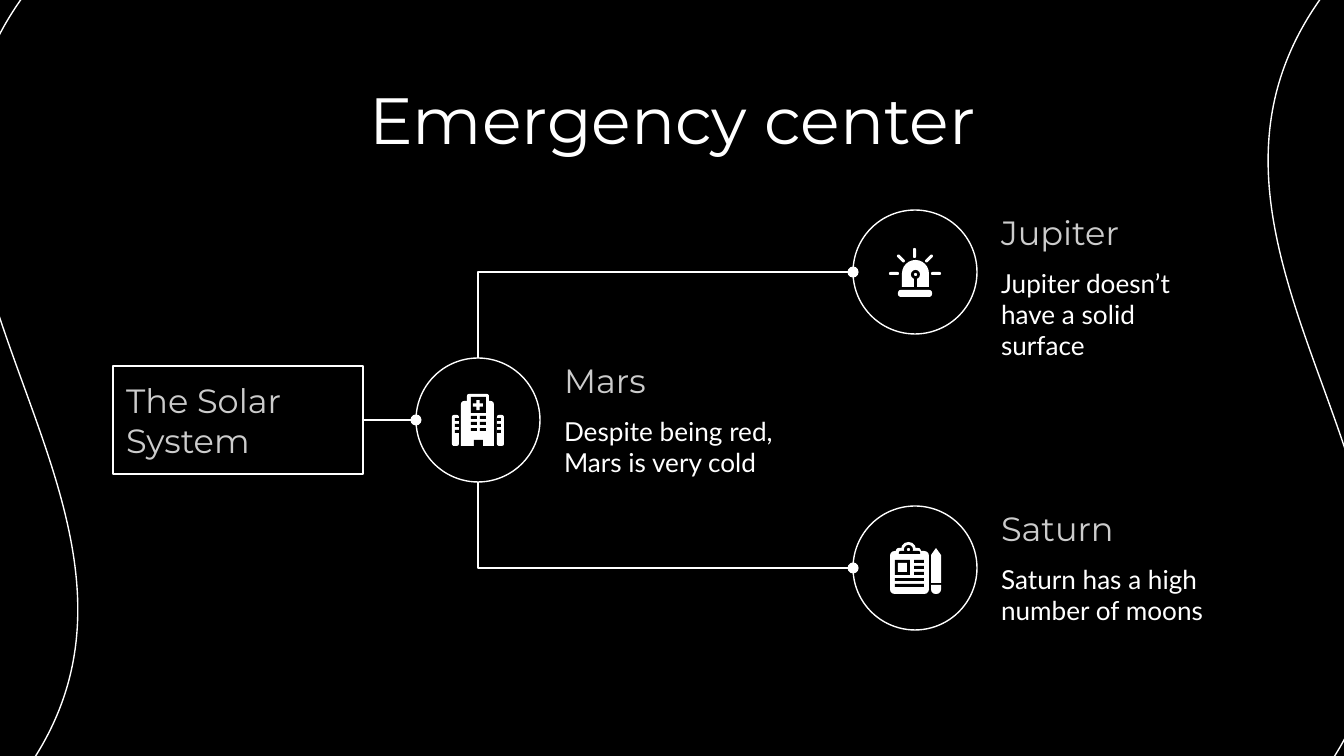
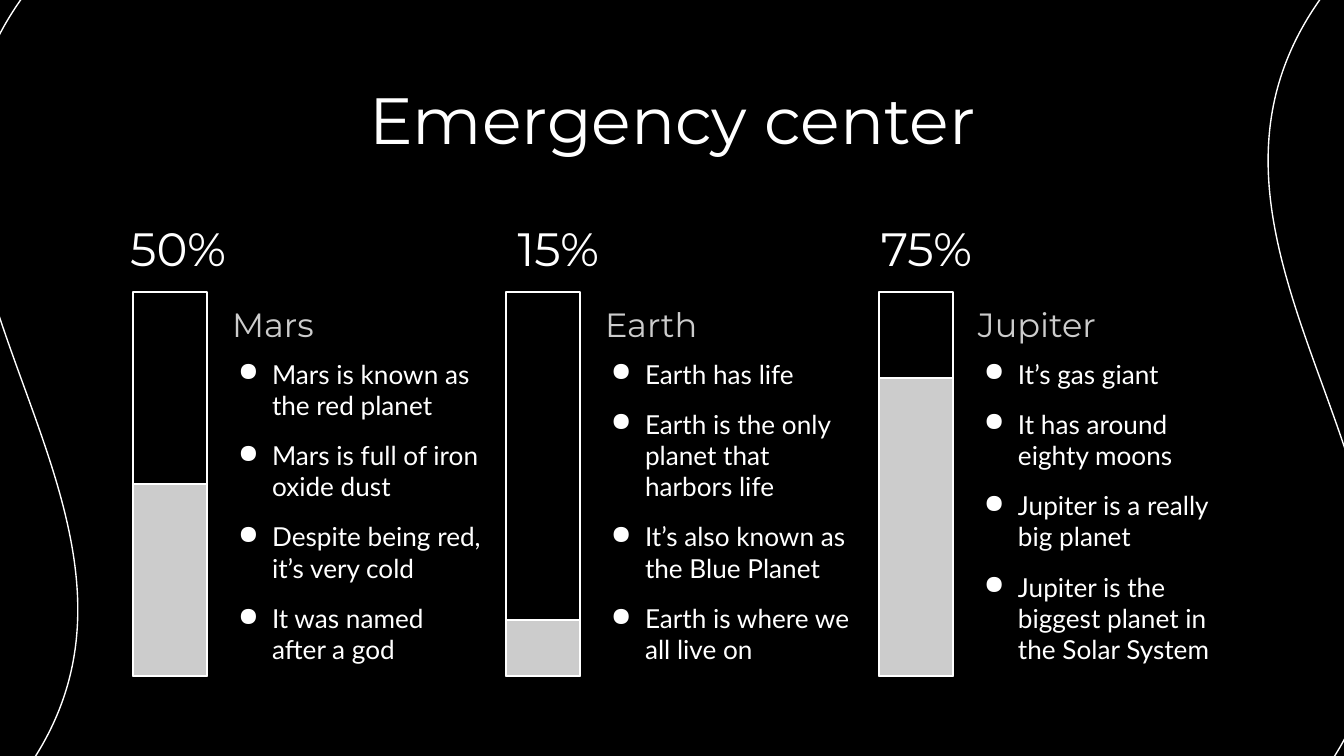
"""Build the two "Emergency center" slides."""
from dataclasses import dataclass
from typing import NamedTuple, Optional

from lxml import etree
from pptx import Presentation
from pptx.dml.color import RGBColor
from pptx.enum.shapes import MSO_CONNECTOR, MSO_SHAPE
from pptx.enum.text import MSO_ANCHOR, PP_ALIGN
from pptx.oxml.ns import qn
from pptx.shapes.autoshape import Shape
from pptx.shapes.connector import Connector
from pptx.slide import Slide
from pptx.text.text import TextFrame
from pptx.util import Emu, Pt

RECT, OVAL, WAVE = MSO_SHAPE.RECTANGLE, MSO_SHAPE.OVAL, MSO_SHAPE.WAVE
ROUND, DOME = MSO_SHAPE.ROUNDED_RECTANGLE, MSO_SHAPE.ROUND_2_SAME_RECTANGLE
CROSS = MSO_SHAPE.CROSS
STRAIGHT, ELBOW = MSO_CONNECTOR.STRAIGHT, MSO_CONNECTOR.ELBOW
TOP, MIDDLE, BOTTOM = MSO_ANCHOR.TOP, MSO_ANCHOR.MIDDLE, MSO_ANCHOR.BOTTOM
LEFT, CENTER, RIGHT = PP_ALIGN.LEFT, PP_ALIGN.CENTER, PP_ALIGN.RIGHT
EMU_PER_PX = 914400 / 134.4


class Style(NamedTuple):
    """Font, size and colour of a run."""
    font: str
    size: int
    color: str


@dataclass(frozen=True)
class Theme:
    """Colours, type sizes and spacings of the deck."""
    black: str = "000000"
    white: str = "FFFFFF"
    gray: str = "CCCCCC"
    line: float = 0.75
    inset: int = 13
    bullet_margin: int = 40
    bullet_hang: int = 34
    bullet_gap: int = 10
    title: Style = Style("Montserrat", 35, "FFFFFF")
    number: Style = Style("Montserrat", 25, "FFFFFF")
    heading: Style = Style("Montserrat", 18, "CCCCCC")
    body: Style = Style("Lato", 14, "FFFFFF")


THEME = Theme()


class Box(NamedTuple):
    """Rectangle in px."""
    x: int
    y: int
    w: int
    h: int

    def shift(self, dx: int, dy: int = 0) -> "Box":
        """Return the box moved by an offset."""
        return Box(self.x + dx, self.y + dy, self.w, self.h)


class Piece(NamedTuple):
    """Filled part of an icon, placed from the icon's centre."""
    kind: MSO_SHAPE
    box: Box
    color: str = THEME.white
    adj: Optional[float] = None
    rot: int = 0


class Icon(NamedTuple):
    """Preset pieces and an optional outline."""
    pieces: list[Piece]
    outline: tuple[tuple[int, int], ...] = ()


class Branch(NamedTuple):
    """Circle with an icon, a heading and a sentence."""
    x: int
    y: int
    heading: str
    body: str
    icon: Icon


class Gauge(NamedTuple):
    """Percentage bar with a heading and bullets."""
    percent: str
    level: int
    heading: str
    bullets: tuple[str, ...]


def cut(x: int, y: int, w: int, h: int) -> Piece:
    """Return a rectangular gap in an icon."""
    return Piece(RECT, Box(x, y, w, h), THEME.black)


SIREN = Icon([
    *(Piece(ROUND, Box(x, 0, 10, 3), adj=0.5) for x in (-26, 16)),
    Piece(ROUND, Box(-2, -24, 3, 10), adj=0.5),
    Piece(ROUND, Box(-19, -15, 10, 3), adj=0.5, rot=45),
    Piece(ROUND, Box(9, -15, 10, 3), adj=0.5, rot=-45),
    Piece(ROUND, Box(-17, 18, 34, 7), adj=0.4),
    Piece(DOME, Box(-13, -12, 27, 27), adj=0.5),
    Piece(OVAL, Box(-4, -2, 9, 9), THEME.black),
    cut(-1, 6, 3, 9),
    Piece(OVAL, Box(-1, 1, 3, 3)),
])
HOSPITAL = Icon([
    *(Piece(ROUND, Box(x, -5, 7, 31), adj=0.3) for x in (-26, 19)),
    *(cut(x, y, 4, 3) for x in (-23, 19) for y in (-2, 4, 10)),
    Piece(DOME, Box(-17, -19, 33, 45), adj=0.1),
    Piece(DOME, Box(-11, -26, 22, 10), adj=0.2),
    cut(-7, -23, 15, 16),
    *(cut(x, y, 6, 3) for x in (-7, 2) for y in (-4, 2, 8)),
    cut(-4, 20, 9, 6),
    Piece(CROSS, Box(-5, -20, 10, 10), adj=0.33),
])
CLIPBOARD = Icon([
    Piece(ROUND, Box(-25, -17, 39, 43), adj=0.12),
    Piece(DOME, Box(-19, -20, 25, 9), adj=0.3),
    Piece(OVAL, Box(-14, -26, 15, 15)),
    Piece(OVAL, Box(-11, -23, 9, 9), THEME.black),
    Piece(DOME, Box(-16, -17, 21, 3), THEME.black, 0.5),
    Piece(OVAL, Box(-8, -20, 3, 3)),
    cut(-20, -8, 15, 15),
    Piece(RECT, Box(-17, -5, 9, 9)),
    *(cut(-1, y, 10, 3) for y in (-8, -2, 4)),
    *(cut(-20, y, 29, 3) for y in (10, 16)),
    Piece(DOME, Box(16, 17, 10, 9), adj=0.5, rot=180),
], ((16, 15), (16, -13), (21, -20), (26, -13), (26, 15)))

DIAMETER = 124
MARS = Branch(416, 358, "Mars", "Despite being red, Mars is very cold", HOSPITAL)
OUTER = (
    Branch(853, 210, "Jupiter", "Jupiter doesn’t have a solid surface", SIREN),
    Branch(853, 506, "Saturn", "Saturn has a high number of moons", CLIPBOARD),
)
GAUGE_STEP = 373
GAUGES = (
    Gauge("50%", 192, "Mars", (
        "Mars is known as the red planet", "Mars is full of iron oxide dust",
        "Despite being red, it’s very cold", "It was named after a god")),
    Gauge("15%", 56, "Earth", (
        "Earth has life", "Earth is the only planet that harbors life",
        "It’s also known as the Blue Planet", "Earth is where we all live on")),
    Gauge("75%", 298, "Jupiter", (
        "It’s gas giant", "It has around eighty moons",
        "Jupiter is a really big planet",
        "Jupiter is the biggest planet in the Solar System")),
)


def px(n: float) -> Emu:
    """Convert px to EMU."""
    return Emu(round(n * EMU_PER_PX))


def rgb(color: str) -> RGBColor:
    """Convert a hex string to a colour."""
    return RGBColor.from_string(color)


def paint(sp: Shape, fill: Optional[str], line: Optional[str]) -> None:
    """Set the fill and line of a shape and drop its shadow."""
    sp.shadow.inherit = False
    for part, color in ((sp.fill, fill), (sp.line.fill, line)):
        if color is None:
            part.background()
        else:
            part.solid()
            part.fore_color.rgb = rgb(color)
    if line is not None:
        sp.line.width = Pt(THEME.line)


def add_shape(shapes, kind: MSO_SHAPE, box: Box, fill: Optional[str] = None,
              line: Optional[str] = THEME.white) -> Shape:
    """Add a painted preset shape."""
    sp = shapes.add_shape(kind, *map(px, box))
    paint(sp, fill, line)
    return sp


def write(tf: TextFrame, texts: tuple[str, ...], style: Style, anchor: MSO_ANCHOR = TOP,
          align: PP_ALIGN = LEFT, bullets: bool = False) -> None:
    """Fill a text frame with one paragraph per text."""
    tf.word_wrap = True
    tf.vertical_anchor = anchor
    tf.margin_left = tf.margin_right = tf.margin_top = tf.margin_bottom = px(THEME.inset)
    for i, text in enumerate(texts):
        p = tf.paragraphs[0] if i == 0 else tf.add_paragraph()
        p.alignment = align
        if bullets:
            add_bullet(p._p.get_or_add_pPr(), style.color)
        if i:
            p.space_before = Pt(THEME.bullet_gap)
        r = p.add_run()
        r.text = text
        r.font.name, r.font.size = style.font, Pt(style.size)
        r.font.color.rgb = rgb(style.color)


def add_bullet(props: etree._Element, color: str) -> None:
    """Give paragraph properties a hanging round bullet."""
    props.set("marL", str(px(THEME.bullet_margin)))
    props.set("indent", str(px(-THEME.bullet_hang)))
    tint = etree.SubElement(props, qn("a:buClr"))
    etree.SubElement(tint, qn("a:srgbClr")).set("val", color)
    etree.SubElement(props, qn("a:buChar")).set("char", "●")


def add_text(s: Slide, box: Box, texts: tuple[str, ...], style: Style,
             anchor: MSO_ANCHOR = TOP, align: PP_ALIGN = LEFT, bullets: bool = False) -> None:
    """Add a text box."""
    write(s.shapes.add_textbox(*map(px, box)).text_frame, texts, style, anchor, align, bullets)


def add_link(s: Slide, kind: MSO_CONNECTOR, x1: float, y1: float,
             x2: float, y2: float) -> Connector:
    """Add a thin connector ending in a dot."""
    c = s.shapes.add_connector(kind, px(x1), px(y1), px(x2), px(y2))
    c.line.color.rgb = rgb(THEME.white)
    c.line.width = Pt(THEME.line)
    props = c._element.spPr
    etree.SubElement(props.find(qn("a:ln")), qn("a:tailEnd")).set("type", "oval")
    etree.SubElement(props, qn("a:effectLst"))
    return c


def add_bend(s: Slide, x1: int, y1: int, x2: int, y2: int) -> None:
    """Add a connector that runs vertically, then horizontally."""
    cx, cy = (x1 + x2) / 2, (y1 + y2) / 2
    half_w, half_h = abs(y2 - y1) / 2, abs(x2 - x1) / 2
    c = add_link(s, ELBOW, cx - half_w, cy - half_h, cx + half_w, cy + half_h)
    props = c._element.spPr
    props.find(qn("a:prstGeom")).set("prst", "bentConnector2")
    props.xfrm.set("rot", str(270 * 60000))
    if y2 > y1:
        props.xfrm.set("flipH", "1")


def add_icon(s: Slide, icon: Icon, cx: int, cy: int) -> None:
    """Draw an icon as a group around a centre."""
    shapes = s.shapes.add_group_shape().shapes
    for piece in icon.pieces:
        sp = add_shape(shapes, piece.kind, piece.box.shift(cx, cy), piece.color, None)
        sp.rotation = piece.rot
        if piece.adj is not None:
            sp.adjustments[0] = piece.adj
    if icon.outline:
        points = [(cx + x, cy + y) for x, y in icon.outline]
        builder = shapes.build_freeform(*points[0], scale=EMU_PER_PX)
        builder.add_line_segments(points[1:], close=True)
        paint(builder.convert_to_shape(), THEME.white, None)


def add_branch(s: Slide, b: Branch) -> None:
    """Draw a circle with its icon and texts."""
    add_shape(s.shapes, OVAL, Box(b.x, b.y, DIAMETER, DIAMETER), THEME.black)
    add_text(s, Box(b.x + 135, b.y + 44, 250, 90), (b.body,), THEME.body)
    add_text(s, Box(b.x + 135, b.y - 10, 250, 65), (b.heading,), THEME.heading, BOTTOM)
    add_icon(s, b.icon, b.x + DIAMETER // 2, b.y + DIAMETER // 2)


def add_gauge(s: Slide, g: Gauge, dx: int) -> None:
    """Draw a percentage bar with its texts."""
    bar = Box(133, 292, 74, 384).shift(dx)
    add_text(s, Box(102, 215, 137, 65).shift(dx), (g.percent,), THEME.number, MIDDLE, RIGHT)
    add_text(s, Box(219, 345, 277, 331).shift(dx), g.bullets, THEME.body, bullets=True)
    add_text(s, Box(219, 292, 277, 65).shift(dx), (g.heading,), THEME.heading, BOTTOM)
    add_shape(s.shapes, RECT, bar)
    add_shape(s.shapes, RECT, Box(bar.x, bar.y + bar.h - g.level, bar.w, g.level), THEME.gray)


def add_slide(prs: Presentation, title: str) -> Slide:
    """Add a slide with the wave backdrop and a title."""
    s = prs.slides.add_slide(prs.slide_layouts[6])
    s.background.fill.solid()
    s.background.fill.fore_color.rgb = rgb(THEME.black)
    wave = add_shape(s.shapes, WAVE, Box(284, -321, 778, 1412), THEME.black)
    wave.adjustments[0] = 0.04
    wave.rotation = 90
    wave._element.spPr.xfrm.set("flipH", "1")
    add_text(s, Box(106, 66, 1133, 85), (title,), THEME.title, align=CENTER)
    return s


def main() -> None:
    """Build and save the deck."""
    prs = Presentation()
    prs.slide_width, prs.slide_height = px(1344), px(756)

    s = add_slide(prs, "Emergency center")
    radius = DIAMETER // 2
    for branch in (MARS, *OUTER):
        add_branch(s, branch)
    root = add_shape(s.shapes, RECT, Box(113, 366, 250, 108))
    write(root.text_frame, ("The Solar System",), THEME.heading, MIDDLE)
    for b in OUTER:
        start = MARS.y if b.y < MARS.y else MARS.y + DIAMETER
        add_bend(s, MARS.x + radius, start, b.x, b.y + radius)
    mid = MARS.y + radius
    add_link(s, STRAIGHT, 363, mid, MARS.x, mid).begin_connect(root, 3)

    s = add_slide(prs, "Emergency center")
    for i, gauge in enumerate(GAUGES):
        add_gauge(s, gauge, i * GAUGE_STEP)
    prs.save("out.pptx")


if __name__ == "__main__":
    main()
